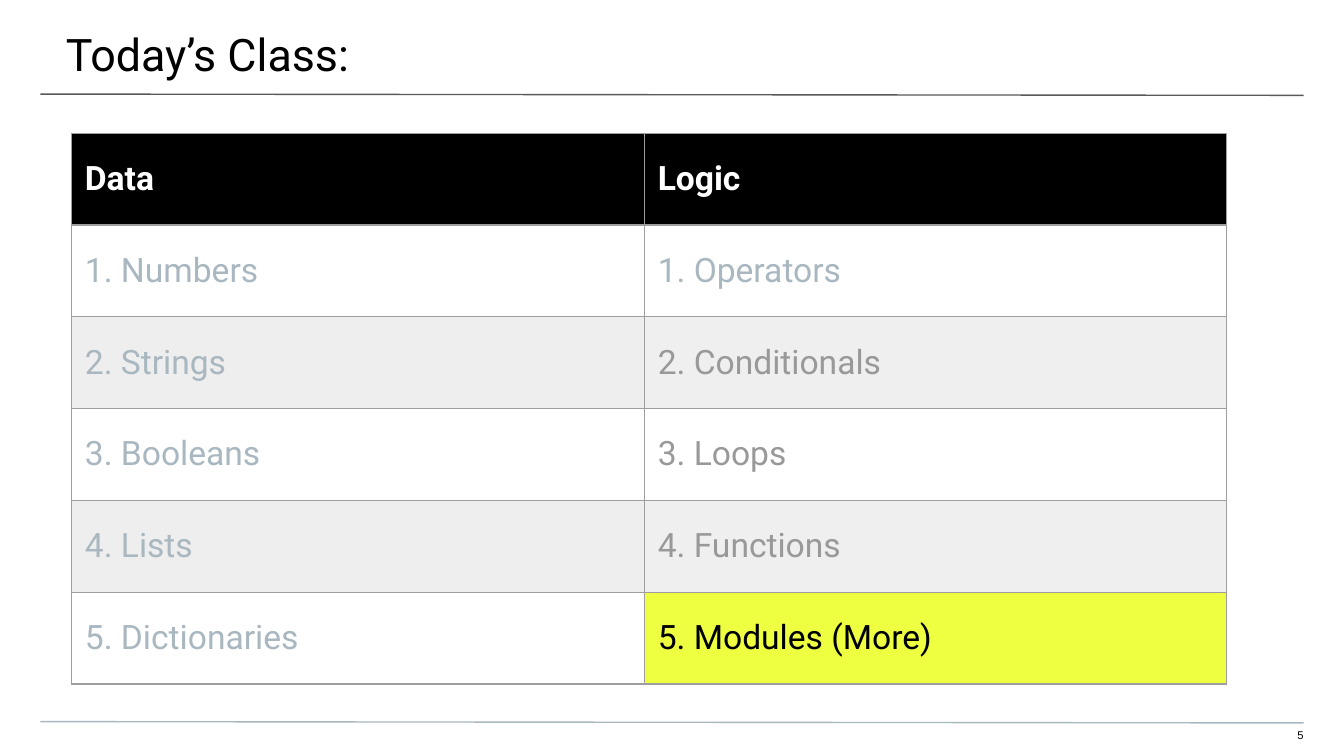
from lxml.etree import SubElement
from pptx import Presentation
from pptx.dml.color import RGBColor
from pptx.enum.shapes import MSO_CONNECTOR
from pptx.enum.text import MSO_ANCHOR, PP_ALIGN
from pptx.oxml.ns import qn
from pptx.util import Pt

COLORS = {
    "black": "000000", "white": "FFFFFF", "rule": "595959", "mist": "A9B7C0",
    "gray": "999999", "border": "9E9E9E", "band": "EEEEEE",
    "band_logic": "EFEFEF", "highlight": "EEFF41",
}
TITLE = "Today’s Class:"
PAGE_NUMBER = "5"
HEADERS = ("Data", "Logic")
# Each topic: text, text color
TOPICS = [
    (("Numbers", "mist"), ("Operators", "mist")),
    (("Strings", "mist"), ("Conditionals", "gray")),
    (("Booleans", "mist"), ("Loops", "gray")),
    (("Lists", "mist"), ("Functions", "gray")),
    (("Dictionaries", "mist"), ("Modules (More)", "black")),
]
BANDS = ("band", "band_logic")
CURRENT = (5, 1)  # row and column of today's topic

RULES = [(50.4, "rule"), (386.6, "mist")]
RULE_LEFT, RULE_RIGHT, RULE_DROP = 21.6, 938.4 - 240, 0.7
TABLE_LEFT, TABLE_TOP, ROW_HEIGHT = 38.3, 71.4, 49.2
COLUMN_WIDTHS = (306.9, 311.7)


def rgb(name):
    return RGBColor.from_string(COLORS[name])


def write(frame, text, size=18, color="black", font="Roboto", bold=False,
          align=PP_ALIGN.LEFT):
    para = frame.paragraphs[0]
    para.alignment = align
    span = para.add_run()
    span.text = text
    span.font.size = Pt(size)
    span.font.name = font
    span.font.bold = bold
    span.font.color.rgb = rgb(color)


def set_margins(target, left, top, right, bottom):
    target.margin_left, target.margin_top = Pt(left), Pt(top)
    target.margin_right, target.margin_bottom = Pt(right), Pt(bottom)


def add_text_box(page, place, margins, text, **style):
    box = page.shapes.add_textbox(*map(Pt, place))
    frame = box.text_frame
    frame.word_wrap = True
    frame.vertical_anchor = MSO_ANCHOR.TOP
    set_margins(frame, *margins)
    write(frame, text, **style)


def add_rule(page, top, color):
    rule = page.shapes.add_connector(
        MSO_CONNECTOR.STRAIGHT, Pt(RULE_LEFT), Pt(top),
        Pt(RULE_RIGHT), Pt(top + RULE_DROP))
    rule.line.color.rgb = rgb(color)
    rule.line.width = Pt(0.75)
    SubElement(rule._element.spPr, qn("a:effectLst"))


def fill_cell(cell, text, fill, **style):
    cell.vertical_anchor = MSO_ANCHOR.MIDDLE
    set_margins(cell, 7.2, 0, 7.2, 0)
    write(cell.text_frame, text, **style)
    properties = cell._tc.get_or_add_tcPr()
    for side in ("a:lnL", "a:lnR", "a:lnT", "a:lnB"):
        line = SubElement(properties, qn(side), w=str(Pt(0.75)))
        solid = SubElement(line, qn("a:solidFill"))
        SubElement(solid, qn("a:srgbClr"), val=COLORS["border"])
    cell.fill.solid()
    cell.fill.fore_color.rgb = rgb(fill)


def add_topic_table(page):
    row_count = len(TOPICS) + 1
    table = page.shapes.add_table(
        row_count, len(HEADERS), Pt(TABLE_LEFT), Pt(TABLE_TOP),
        Pt(sum(COLUMN_WIDTHS)), Pt(ROW_HEIGHT * row_count)).table
    table.horz_banding = False
    for column, width in zip(table.columns, COLUMN_WIDTHS):
        column.width = Pt(width)
    for row in table.rows:
        row.height = Pt(ROW_HEIGHT)
    for column, header in enumerate(HEADERS):
        fill_cell(table.cell(0, column), header, "black", color="white", bold=True)
    for row, topics in enumerate(TOPICS, start=1):
        for column, (topic, color) in enumerate(topics):
            fill = BANDS[column] if row % 2 == 0 else "white"
            if (row, column) == CURRENT:
                fill = "highlight"
            fill_cell(table.cell(row, column), f"{row}. {topic}", fill, color=color)


def main():
    deck = Presentation()
    deck.slide_width, deck.slide_height = Pt(720), Pt(405)
    page = deck.slides.add_slide(deck.slide_layouts[6])
    for top, color in RULES:
        add_rule(page, top, color)
    add_text_box(page, (-0.7, 0, 722, 41.8), (36, 14.4, 21.6, 7.2), TITLE, size=24)
    add_text_box(page, (677.5, 390.2, 20.9, 8.6), (0, 0, 0, 7.2), PAGE_NUMBER,
                 size=6, font="Arial", align=PP_ALIGN.RIGHT)
    add_topic_table(page)
    deck.save("out.pptx")


if __name__ == "__main__":
    main()
